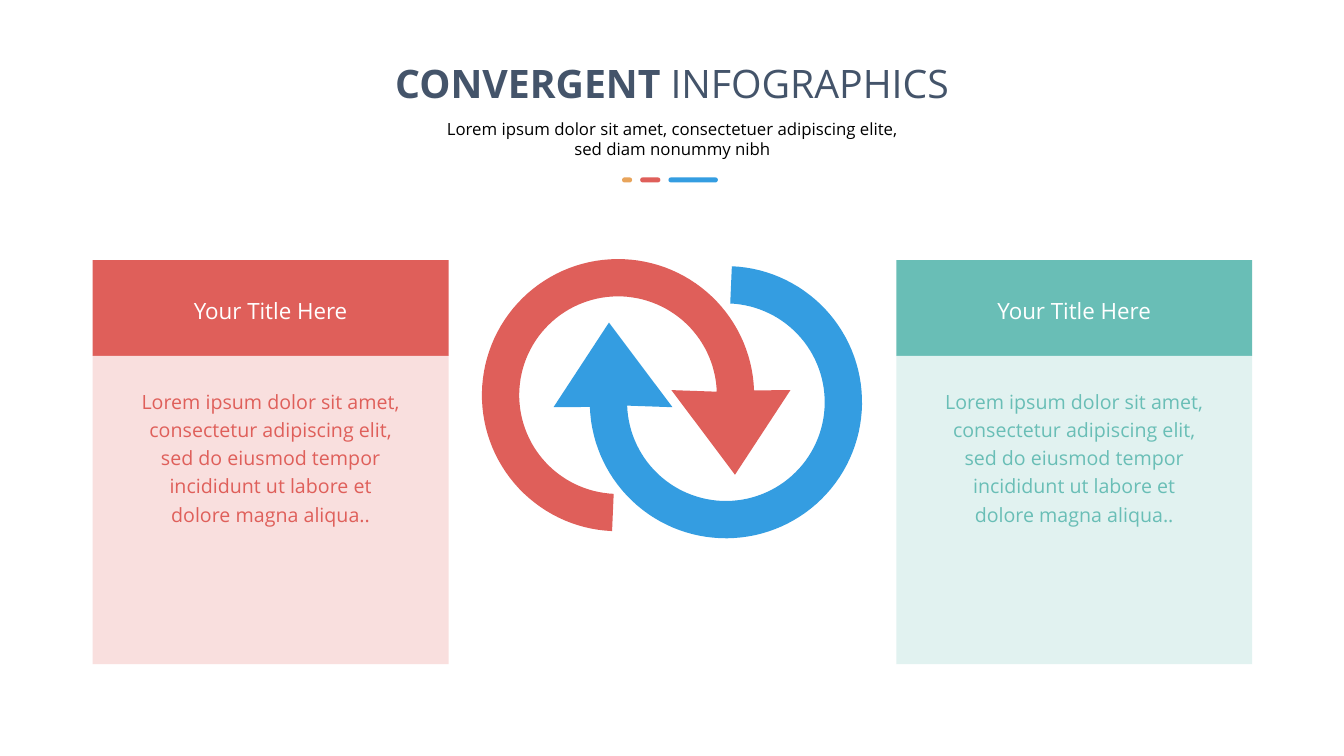
"""Builds a slide with two text cards around a pair of converging arrows."""
import math
import pptx
import pptx.util
import pptx.dml.color
import pptx.enum.shapes
import pptx.enum.text

RGBColor = pptx.dml.color.RGBColor
Inches = pptx.util.Inches
SHAPE = pptx.enum.shapes.MSO_SHAPE

RED = RGBColor(0xDF, 0x5F, 0x5A)
PINK = RGBColor(0xF9, 0xDF, 0xDE)
TEAL = RGBColor(0x69, 0xBE, 0xB6)
MINT = RGBColor(0xE1, 0xF2, 0xF0)
BLUE = RGBColor(0x34, 0x9D, 0xE1)
AMBER = RGBColor(0xE8, 0xA4, 0x5B)
SLATE = RGBColor(0x44, 0x54, 0x6A)
WHITE = RGBColor(0xFF, 0xFF, 0xFF)
BLACK = RGBColor(0, 0, 0)
FONT = "Open Sans"

TITLE = [("CONVERGENT ", True), ("INFOGRAPHICS", False)]
SUBTITLE = "Lorem ipsum dolor sit amet, consectetuer adipiscing elite, sed diam nonummy nibh"
CARD_TEXT = ("Lorem ipsum dolor sit amet, consectetur adipiscing elit, sed do eiusmod "
             "tempor incididunt ut labore et dolore magna aliqua..")
CARDS = [("Your Title Here", CARD_TEXT, RED, PINK),
         ("Your Title Here", CARD_TEXT, TEAL, MINT)]
DASHES = [(0.1, AMBER), (0.2, RED), (0.49, BLUE)]

WIDTH, HEIGHT = 13.33, 7.5
MARGIN, CARD_TOP, CARD_W = 0.92, 2.58, 3.53
HEAD_H, BODY_H = 0.95, 3.06
CARD_PAD = 0.38
DASH_LEFT, DASH_TOP, DASH_H, DASH_GAP = 6.17, 1.76, 0.05, 0.08

RING = (6.13, 3.92)
OUTER, INNER = 1.35, 0.98
PIVOT = (WIDTH / 2, 3.955)
HEAD_BASE = 3.87
ARROWHEAD = [(6.66, HEAD_BASE), (7.29, 4.71), (7.84, HEAD_BASE)]
ARC_START, ARC_END, ARC_STEPS = -2, -267.5, 90


def write(sp, runs, size, color, spacing=None, inset=None):
    """Fill a shape with one centred paragraph of (text, bold) runs."""
    tf = sp.text_frame
    tf.word_wrap = True
    tf.auto_size = pptx.enum.text.MSO_AUTO_SIZE.SHAPE_TO_FIT_TEXT
    tf.vertical_anchor = pptx.enum.text.MSO_ANCHOR.TOP
    if inset is not None:
        tf.margin_left = tf.margin_right = Inches(inset)
        tf.margin_top = tf.margin_bottom = Inches(inset)
    p = tf.paragraphs[0]
    p.alignment = pptx.enum.text.PP_ALIGN.CENTER
    if spacing:
        p.line_spacing = spacing
    for text, bold in runs:
        r = p.add_run()
        r.text = text
        r.font.name, r.font.size, r.font.bold = FONT, pptx.util.Pt(size), bold
        r.font.color.rgb = color


def paint(sp, color):
    """Give a shape a flat fill without outline or shadow."""
    sp.shadow.inherit = False
    sp.fill.solid()
    sp.fill.fore_color.rgb = color
    sp.line.fill.background()


def add_block(shapes, kind, box, color):
    """Add a filled preset shape."""
    sp = shapes.add_shape(kind, *map(Inches, box))
    paint(sp, color)
    return sp


def add_text(shapes, box, text, size, color, **style):
    """Add a text box holding one plain run."""
    sp = shapes.add_textbox(*map(Inches, box))
    write(sp, [(text, False)], size, color, **style)


def add_card(slide, left, heading, body, dark, light):
    """Add one card with a coloured header and a tinted body."""
    shapes = slide.shapes.add_group_shape().shapes
    body_top = CARD_TOP + HEAD_H
    add_block(shapes, SHAPE.RECTANGLE, (left, CARD_TOP, CARD_W, HEAD_H), dark)
    add_block(shapes, SHAPE.RECTANGLE, (left, body_top, CARD_W, BODY_H), light)
    text_left, text_w = left + CARD_PAD, CARD_W - 2 * CARD_PAD
    add_text(shapes, (text_left, CARD_TOP + 0.27, text_w, 0.4), heading, 16, WHITE, spacing=1.2)
    add_text(shapes, (text_left, body_top + 0.24, text_w, 1.51), body, 14, dark, spacing=1.2)


def arc(radius, start, end):
    """Return points along the ring between two angles in degrees."""
    angles = [math.radians(start + (end - start) * i / ARC_STEPS) for i in range(ARC_STEPS + 1)]
    return [(RING[0] + radius * math.cos(a), RING[1] + radius * math.sin(a)) for a in angles]


def add_arrow(shapes, points, color):
    """Add a closed outline through the given points."""
    outline = [(Inches(x), Inches(y)) for x, y in points]
    builder = shapes.build_freeform(*outline[0])
    builder.add_line_segments(outline[1:], close=True)
    paint(builder.convert_to_shape(), color)


def main():
    """Lay out the slide and save it."""
    prs = pptx.Presentation()
    prs.slide_width, prs.slide_height = Inches(WIDTH), Inches(HEIGHT)
    slide = prs.slides.add_slide(prs.slide_layouts[5])

    title = slide.shapes.title
    title.left, title.top, title.width, title.height = map(Inches, (3.25, 0.54, 6.83, 0.57))
    write(title, TITLE, 28, SLATE)

    for left, card in zip((MARGIN, WIDTH - MARGIN - CARD_W + 0.01), CARDS):
        add_card(slide, left, *card)

    arrow = arc(OUTER, ARC_START, ARC_END) + arc(INNER, ARC_END, ARC_START) + ARROWHEAD
    turned = [(2 * PIVOT[0] - x, 2 * PIVOT[1] - y) for x, y in arrow]
    arrows = slide.shapes.add_group_shape().shapes
    add_arrow(arrows, arrow, RED)
    add_arrow(arrows, turned, BLUE)

    dashes = slide.shapes.add_group_shape().shapes
    left = DASH_LEFT
    for width, color in DASHES:
        sp = add_block(dashes, SHAPE.ROUNDED_RECTANGLE, (left, DASH_TOP, width, DASH_H), color)
        sp.adjustments[0] = 0.5
        left += width + DASH_GAP

    add_text(slide.shapes, (4.34, 1.13, 4.66, 0.5), SUBTITLE, 12, BLACK, inset=0.05)
    prs.save("out.pptx")


if __name__ == "__main__":
    main()
